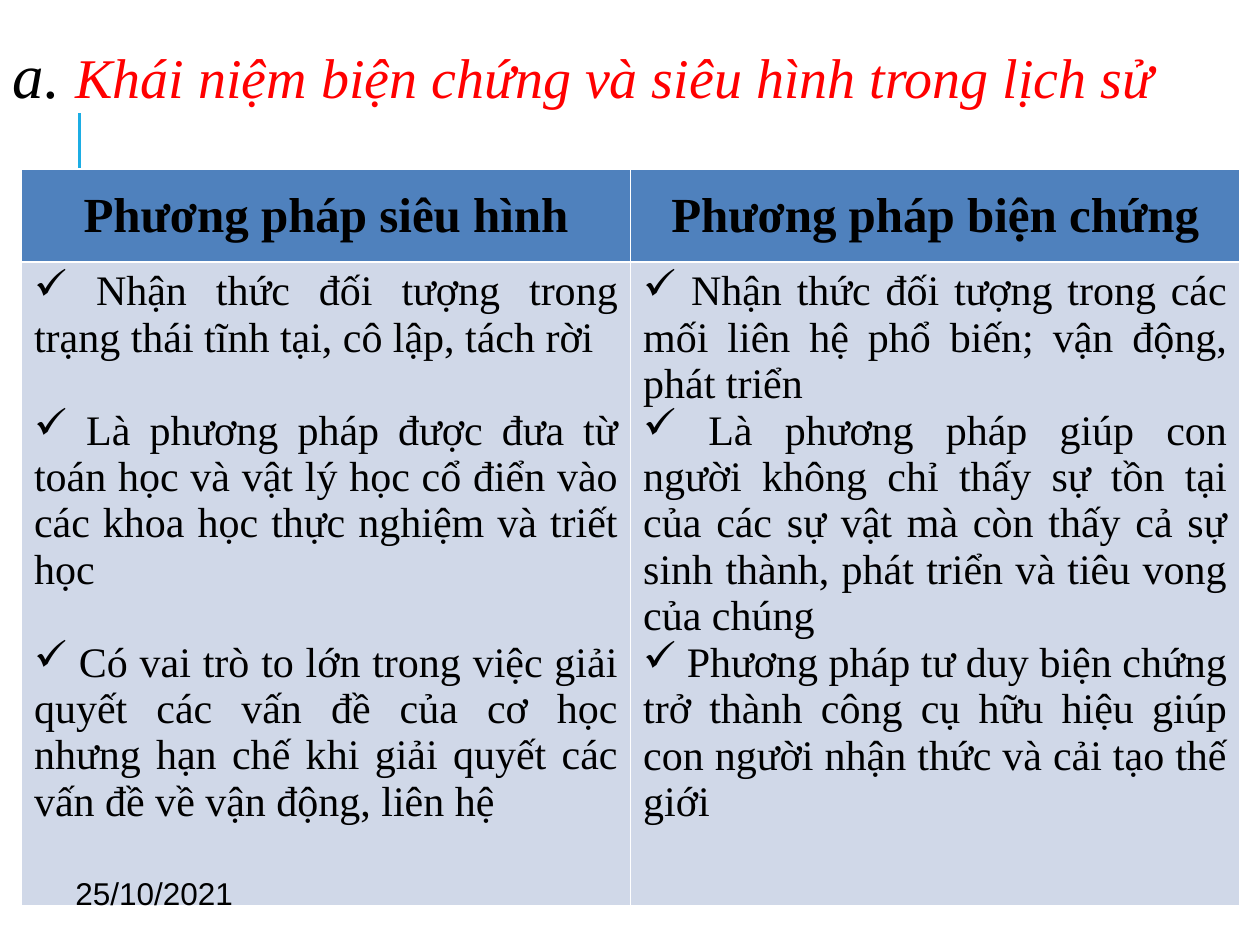
from lxml import etree
from pptx import Presentation
from pptx.dml.color import RGBColor
from pptx.enum.shapes import MSO_CONNECTOR
from pptx.enum.text import MSO_ANCHOR, MSO_AUTO_SIZE, PP_ALIGN
from pptx.oxml.ns import qn
from pptx.util import Inches, Pt

STRAIGHT = MSO_CONNECTOR.STRAIGHT
TOP, MIDDLE = MSO_ANCHOR.TOP, MSO_ANCHOR.MIDDLE
LEFT, CENTER, JUSTIFY = PP_ALIGN.LEFT, PP_ALIGN.CENTER, PP_ALIGN.JUSTIFY
NO_FIT = MSO_AUTO_SIZE.NONE
SERIF, SANS = "Times New Roman", "Arial"
BLACK, RED, WHITE = "000000", "FF0000", "FFFFFF"
ACCENT, HEADER_FILL, BODY_FILL = "1CADE4", "4F81BD", "D0D8E8"

TITLE_RUNS = [
    ("a. ", 36, BLACK),
    ("Khái niệm biện chứng và siêu hình trong lịch sử", 32, RED),
]
# Heading, gap between points in points, points
COLUMNS = [
    ("Phương pháp siêu hình", 26.5, [
        "Nhận thức đối tượng trong trạng thái tĩnh tại, cô lập, tách rời",
        "Là phương pháp được đưa từ toán học và vật lý học cổ điển vào các "
        "khoa học thực nghiệm và triết học",
        "Có vai trò to lớn trong việc giải quyết các vấn đề của cơ học nhưng "
        "hạn chế khi giải quyết các vấn đề về vận động, liên hệ",
    ]),
    ("Phương pháp biện chứng", 0, [
        "Nhận thức đối tượng trong các mối liên hệ phổ biến; vận động, phát triển",
        "Là phương pháp giúp con người không chỉ thấy sự tồn tại của các sự vật "
        "mà còn thấy cả sự sinh thành, phát triển và tiêu vong của chúng",
        "Phương pháp tư duy biện chứng trở thành công cụ hữu hiệu giúp con người "
        "nhận thức và cải tạo thế giới",
    ]),
]


def rgb(value):
    return RGBColor.from_string(value)


def add_run(p, text, size, color=BLACK, **formats):
    r = p.add_run()
    r.text = text
    r.font.color.rgb = rgb(color)
    for name, value in {"name": SERIF, "size": Pt(size), **formats}.items():
        setattr(r.font, name, value)


def place(sp, x, y, w, h):
    sp.left, sp.top, sp.width, sp.height = (Inches(v) for v in (x, y, w, h))


def set_frame(tf):
    formats = {"word_wrap": True, "auto_size": NO_FIT, "vertical_anchor": MIDDLE}
    for name, value in formats.items():
        setattr(tf, name, value)


def add_accent_line(slide, x, y, length):
    line = slide.shapes.add_connector(
        STRAIGHT, Inches(x), Inches(y + length), Inches(x), Inches(y))
    line.line.color.rgb = rgb(ACCENT)
    line.line.width = Pt(1.5)
    etree.SubElement(line._element.spPr, qn("a:effectLst"))


def fill_title(slide, x, y, w, h):
    title = slide.shapes.title
    place(title, x, y, w, h)
    set_frame(title.text_frame)
    p = title.text_frame.paragraphs[0]
    p.alignment = LEFT
    p.line_spacing = 0.9
    for text, size, color in TITLE_RUNS:
        add_run(p, text, size, color, italic=True)


def style_cell(cell, color, anchor):
    tcPr = cell._tc.get_or_add_tcPr()
    for side in ("lnL", "lnR", "lnT", "lnB"):
        ln = etree.SubElement(tcPr, qn(f"a:{side}"), w=str(Pt(1)))
        fill = etree.SubElement(ln, qn("a:solidFill"))
        etree.SubElement(fill, qn("a:srgbClr"), val=WHITE)
    cell.fill.solid()
    cell.fill.fore_color.rgb = rgb(color)
    cell.vertical_anchor = anchor


def add_check(p):
    pPr = p._p.get_or_add_pPr()
    pPr.set("marL", "0")
    pPr.set("indent", "0")
    etree.SubElement(pPr, qn("a:buChar"), char="✓")


def add_comparison(slide, x, y, w, row_heights):
    frame = slide.shapes.add_table(
        2, len(COLUMNS), Inches(x), Inches(y), Inches(w), Inches(sum(row_heights)))
    table = frame.table
    for row, height in zip(table.rows, row_heights):
        row.height = Inches(height)
    for i, (heading, gap, points) in enumerate(COLUMNS):
        table.columns[i].width = Inches(w / len(COLUMNS))
        # Heading cell
        head = table.cell(0, i)
        style_cell(head, HEADER_FILL, MIDDLE)
        p = head.text_frame.paragraphs[0]
        p.alignment = CENTER
        add_run(p, heading, 28, bold=True)
        # Checked points
        body = table.cell(1, i)
        style_cell(body, BODY_FILL, TOP)
        tf = body.text_frame
        for n, point in enumerate(points):
            p = tf.add_paragraph() if n else tf.paragraphs[0]
            p.alignment = JUSTIFY
            if n and gap:
                p.space_before = Pt(gap)
            add_check(p)
            add_run(p, " " + point, 24, bold=False)


def add_date(slide, x, y, w, h):
    box = slide.shapes.add_textbox(Inches(x), Inches(y), Inches(w), Inches(h))
    set_frame(box.text_frame)
    add_run(box.text_frame.paragraphs[0], "25/10/2021", 18, name=SANS)


def main():
    prs = Presentation()
    prs.slide_width, prs.slide_height = Inches(10), Inches(7.5)
    slide = prs.slides.add_slide(prs.slide_layouts[5])
    add_accent_line(slide, 0.63, 0.9, 1)
    fill_title(slide, 0, 0.08, 10, 1.08)
    add_comparison(slide, 0.17, 1.34, 9.67, (0.74, 5.11))
    add_date(slide, 0.5, 6.83, 2.33, 0.52)
    prs.save("out.pptx")


if __name__ == "__main__":
    main()
